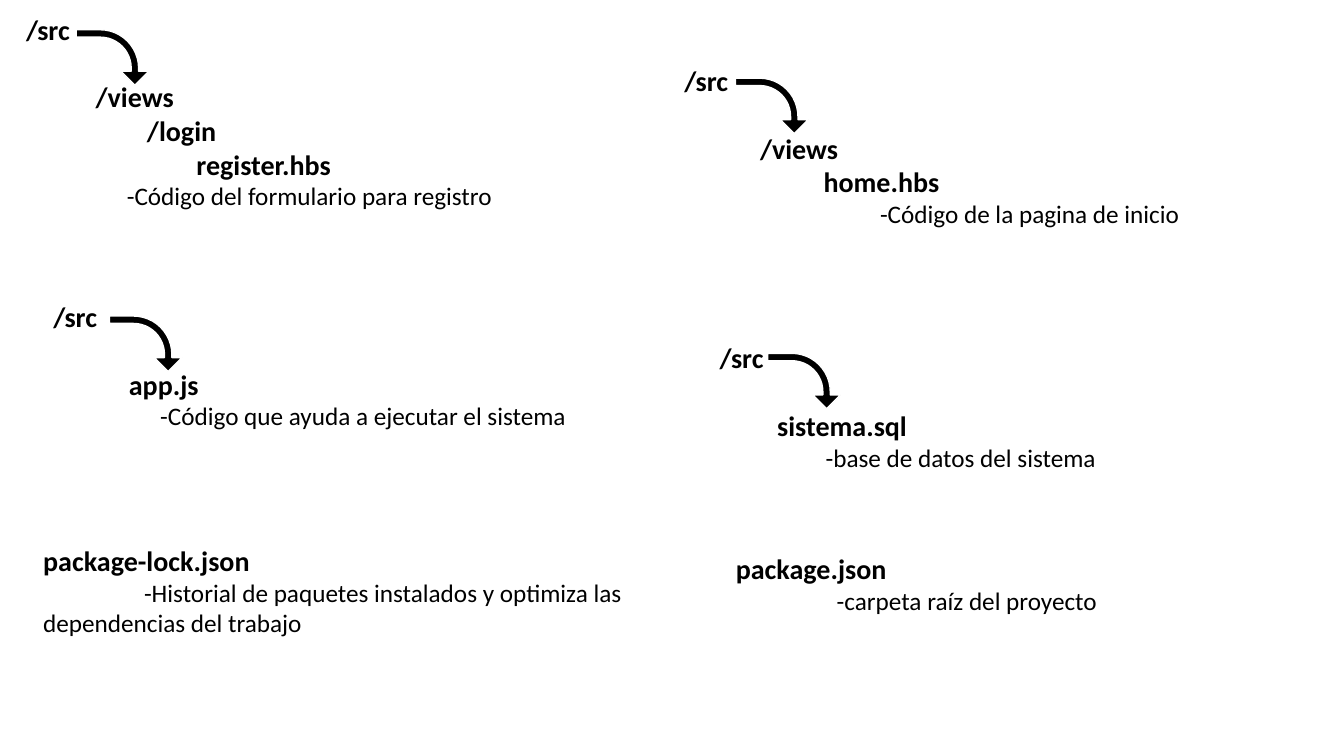
import pptx
import pptx.dml.color
import pptx.enum.shapes
import pptx.util

Inches = pptx.util.Inches
Pt = pptx.util.Pt

BLACK, WHITE = "000000", "FFFFFF"
FONT = "Calibri"
FOLDER_GAP = 24.4  # room for the arrow below the root folder, in points

# Each entry: left, top, width, height, then names and note as (first-line indent, text)
FOLDER_TREES = [
    ((-0.84, 0.07, 6.67, 2.69),
     [(1, "/src"), (1.69, "/views"), (2.2, "/login"), (2.69, "register.hbs")],
     (2, "-Código del formulario para registro")),
    ((5.63, 0.58, 6.8, 1.75),
     [(1.06, "/src"), (1.81, "/views"), (2.44, "home.hbs")],
     (3, "-Código de la pagina de inicio")),
    ((-0.63, 2.92, 7.09, 1.41),
     [(1.06, "/src"), (1.81, "app.js")],
     (2.12, "-Código que ayuda a ejecutar el sistema")),
    ((5.98, 3.33, 7.09, 1.41),
     [(1.06, "/src"), (1.63, "sistema.sql")],
     (2.11, "-base de datos del sistema")),
]
ROOT_FILES = [
    ((0.33, 5.34, 7.09, 1.65), [(0, "package-lock.json")],
     (1, "-Historial de paquetes instalados y optimiza las dependencias del trabajo")),
    ((7.2, 5.42, 7.09, 0.74), [(0, "package.json")],
     (1, "-carpeta raíz del proyecto")),
]
ARROW_POSITIONS = [(0.84, 0.21), (7.38, 0.69), (1.17, 3.05), (7.7, 3.42)]


def color(hex_value):
    return pptx.dml.color.RGBColor.from_string(hex_value)


def write_line(paragraph, indent, text, size, bold):
    paragraph.text = text
    paragraph.font.name = FONT
    paragraph.font.size = Pt(size)
    paragraph.font.bold = bold
    paragraph.font.color.rgb = color(BLACK)
    properties = paragraph._p.get_or_add_pPr()
    properties.set("marL", "0")
    properties.set("indent", str(Inches(indent)))


def add_file_entry(slide, frame, names, note):
    """Write bold folder and file names, followed by a plain note."""
    entry = slide.shapes.add_textbox(*map(Inches, frame)).text_frame
    entry.word_wrap = True
    for level, (indent, name) in enumerate(names):
        paragraph = entry.add_paragraph() if level else entry.paragraphs[0]
        write_line(paragraph, indent, name, 20, True)
        if level == 1:
            paragraph.space_before = Pt(FOLDER_GAP)
    write_line(entry.add_paragraph(), *note, 18, False)


def add_folder_arrow(slide, left, top):
    arrow = slide.shapes.add_shape(
        pptx.enum.shapes.MSO_SHAPE.BENT_ARROW,
        Inches(left), Inches(top), Inches(0.55), Inches(0.72))
    arrow.rotation = 90
    for index, value in enumerate((0.134, 0.25, 0.25, 0.693)):
        arrow.adjustments[index] = value
    arrow.shadow.inherit = False
    arrow.fill.solid()
    arrow.fill.fore_color.rgb = color(BLACK)
    arrow.line.color.rgb = color(WHITE)
    arrow.line.width = Pt(1)


def main():
    presentation = pptx.Presentation()
    presentation.slide_width = Inches(13.33)
    presentation.slide_height = Inches(7.5)
    slide = presentation.slides.add_slide(presentation.slide_layouts[6])

    # Folder trees and files at the project root
    for frame, names, note in FOLDER_TREES + ROOT_FILES:
        add_file_entry(slide, frame, names, note)

    # Arrows from each root folder to its content
    for left, top in ARROW_POSITIONS:
        add_folder_arrow(slide, left, top)

    presentation.save("out.pptx")


if __name__ == "__main__":
    main()
